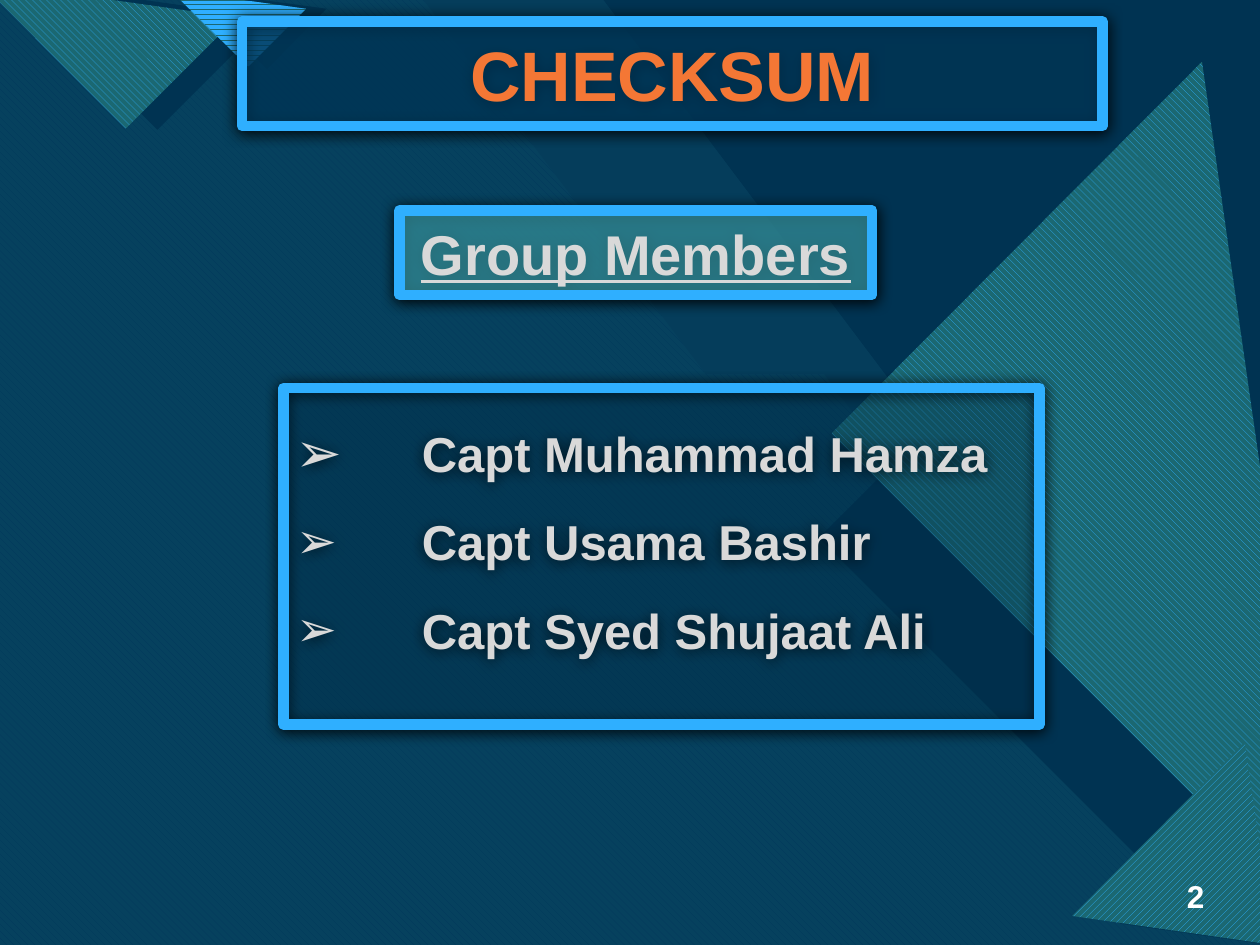
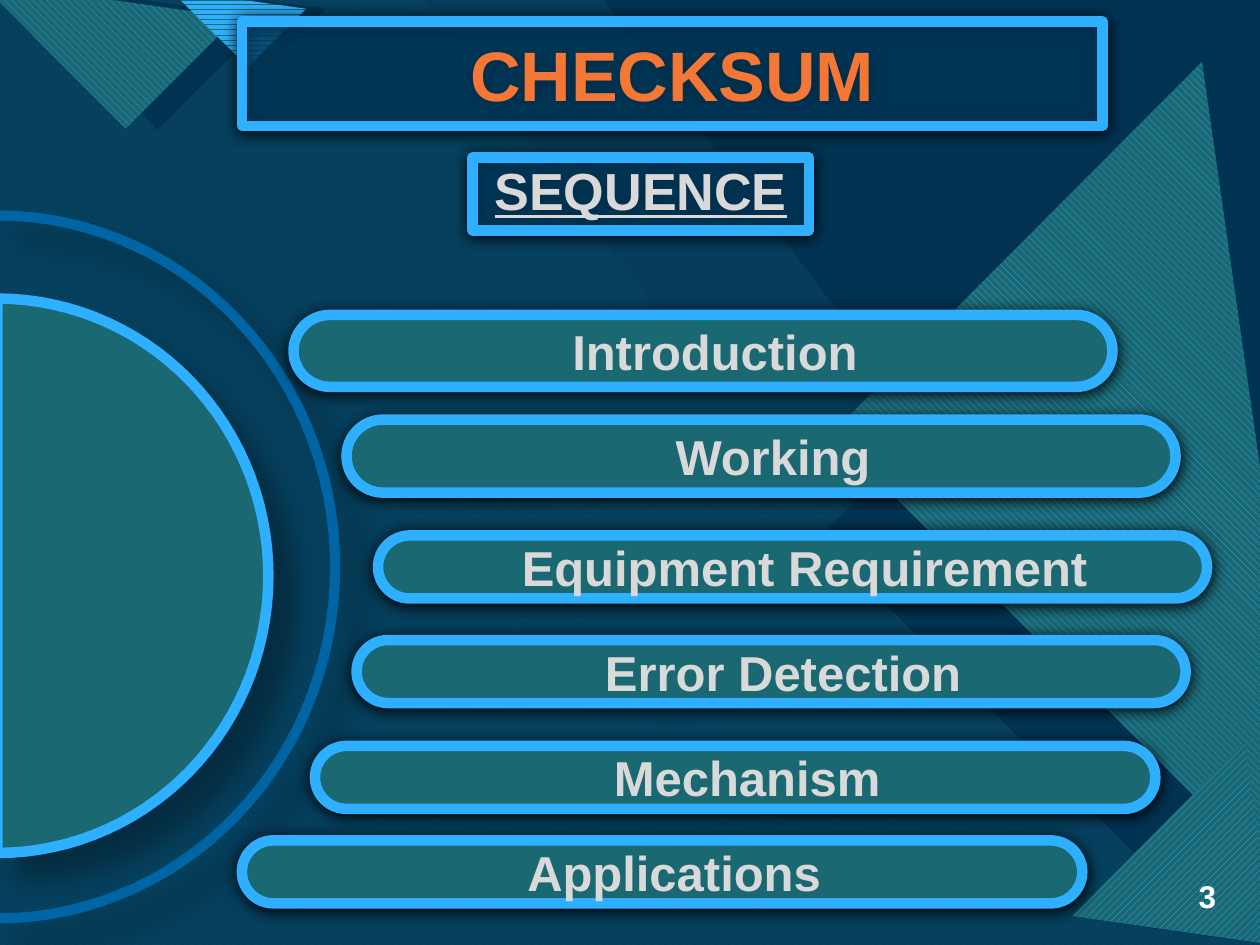
from math import cos, pi, sin

from lxml.etree import SubElement
from pptx import Presentation
from pptx.dml.color import RGBColor
from pptx.enum.dml import MSO_PATTERN_TYPE as PAT
from pptx.enum.shapes import MSO_SHAPE as SHAPE
from pptx.enum.text import MSO_ANCHOR as ANCHOR, PP_ALIGN as ALIGN
from pptx.oxml.ns import qn
from pptx.util import Inches, Pt

# ---- Content ----
TITLE = "CHECKSUM"
MEMBERS_HEAD = "Group Members"
MEMBERS = ["Capt Muhammad Hamza", "Capt Usama Bashir", "Capt Syed Shujaat Ali"]
SEQUENCE_HEAD = "SEQUENCE"
# topic, left, top, width, height
TOPICS = [
    ("Introduction", 2.33, 2.5, 6.5, 0.57),
    ("Working", 2.75, 3.33, 6.58, 0.58),
    ("Equipment Requirement", 3, 4.25, 6.58, 0.5),
    ("Error Detection", 2.83, 5.08, 6.58, 0.5),
    ("Mechanism", 2.5, 5.92, 6.67, 0.5),
    ("Applications", 1.92, 6.67, 6.67, 0.5),
]

# ---- Look ----
W, H = 10, 7.5
FONT = "Arial"
NAVY, DEEP, BLUE, SKY = "003352", "0C4360", "0065A4", "2FAFFF"
CYAN, TEAL, PILL, GLASS = "47C3D3", "1B6872", "1A6871", "004C7B"
ORANGE, PALE, WHITE = "F47735", "D9D9D9", "FFFFFF"
DOWN, UP = PAT.WIDE_DOWNWARD_DIAGONAL, PAT.WIDE_UPWARD_DIAGONAL
ROWS = PAT.DARK_HORIZONTAL

# Shadows: opacity %, blur pt, distance pt, angle
BOX_SHADOW = (100, 8.5, 1, 90)
ARC_SHADOW = (30, 15, 18, 45)

# Fills: (colour, opacity %) or (pattern, front, back)
SOLID_NAVY = (NAVY, 100)
STRIPES_DOWN, STRIPES_UP = (DOWN, SKY, TEAL), (UP, SKY, TEAL)

# Backdrop, from back to front: fill and corners; None marks the corner triangle
BACKDROP = [
    ((CYAN, 74), [(0, 0), (6.2, 0), (8.42, 2.97), (9.26, 2.97), (W, 3.96), (W, H), (0, H)]),
    ((DOWN, BLUE, CYAN), [(0, 0), (3.36, 0), (5.6, 2.97), (6.54, 2.97), (9.94, H), (0, H)]),
    (SOLID_NAVY, None),
    ((NAVY, 90), [(0, 0), (5.21, 0), (7.44, 2.97), (8.39, 2.97), (W, 5.13), (W, H), (0, H)]),
    (SOLID_NAVY, [(9.57, 1.19), (10.42, 7.16), (9.21, 6.98), (6.5, 4.27)]),
    (STRIPES_DOWN, [(9.54, 0.49), (10.48, 7.05), (10.17, 7.01), (6.6, 3.44)]),
    (SOLID_NAVY, [(9.91, 6.31), (10.08, 7.5), (8.89, 7.33)]),
    (STRIPES_UP, [(9.88, 5.89), (10.11, 7.5), (8.51, 7.27)]),
    (SOLID_NAVY, [(2.14, 0.14), (1.25, 1.03), (0.07, -0.15)]),
    (STRIPES_DOWN, [(-0.17, -0.15), (1, 1.02), (1.88, 0.14)]),
    (SOLID_NAVY, [(2.59, 0.07), (2.12, 0.55), (1.49, -0.08)]),
    ((ROWS, SKY, TEAL), [(1.35, -0.08), (1.97, 0.53), (2.43, 0.07)]),
]


def rgb(hex_text):
    return RGBColor.from_string(hex_text)


def paint(sp, fill, line=None, shadow=None):
    """Give a shape its fill, its 6 pt outline and its shadow."""
    f = sp.fill
    if len(fill) == 3:
        f.patterned()
        f.pattern = fill[0]
        f.fore_color.rgb, f.back_color.rgb = rgb(fill[1]), rgb(fill[2])
    else:
        f.solid()
        f.fore_color.rgb = rgb(fill[0])
        if fill[1] < 100:
            clr = sp._element.spPr.find(qn("a:solidFill"))[0]
            SubElement(clr, qn("a:alpha"), val=str(fill[1] * 1000))
    if line:
        sp.line.color.rgb = rgb(line)
        sp.line.width = Pt(6)
    else:
        sp.line.fill.background()
    sp.shadow.inherit = False
    if shadow:
        opacity, blur, dist, angle = shadow
        effects = sp._element.spPr.find(qn("a:effectLst"))
        sh = SubElement(effects, qn("a:outerShdw"), blurRad=str(Pt(blur)), dist=str(Pt(dist)),
                        dir=str(angle * 60000), algn="ctr", rotWithShape="0")
        clr = SubElement(sh, qn("a:srgbClr"), val="000000")
        SubElement(clr, qn("a:alpha"), val=str(opacity * 1000))


def write(sp, lines, size, color=PALE, align=ALIGN.CENTER, anchor=ANCHOR.MIDDLE,
          wrap=True, underline=None, **para):
    """Write one paragraph for each line, all in the same format."""
    tf = sp.text_frame
    tf.word_wrap, tf.vertical_anchor = wrap, anchor
    font = {"name": FONT, "size": Pt(size), "bold": True, "underline": underline}
    for i, line in enumerate(lines):
        p = tf.add_paragraph() if i else tf.paragraphs[0]
        for key, value in {"alignment": align, **para}.items():
            setattr(p, key, value)
        r = p.add_run()
        r.text = line
        for key, value in font.items():
            setattr(r.font, key, value)
        r.font.color.rgb = rgb(color)
    return tf.paragraphs


def place(sp, *box):
    for key, value in zip(("left", "top", "width", "height"), box):
        setattr(sp, key, Inches(value))


def box(s, kind, at, fill):
    sp = s.shapes.add_shape(kind, *map(Inches, at))
    paint(sp, fill, SKY, BOX_SHADOW)
    return sp


def polygon(s, points):
    pts = [(Inches(x), Inches(y)) for x, y in points]
    fb = s.shapes.build_freeform(*pts[0], scale=1.0)
    fb.add_line_segments(pts[1:], close=True)
    return fb.convert_to_shape()


def half_ellipse(cy, rx, ry, steps=60):
    """Points of the right half of an ellipse on the left edge, top to bottom."""
    angles = [pi * i / steps - pi / 2 for i in range(steps + 1)]
    return [(rx * cos(a) - 0.02, cy + ry * sin(a)) for a in angles]


def add_backdrop(s, layout):
    """Draw the shared backdrop and move it behind everything on the layout."""
    layout.background.fill.solid()
    layout.background.fill.fore_color.rgb = rgb(DEEP)
    for i, (fill, points) in enumerate(BACKDROP):
        if points:
            sp = polygon(s, points)
        else:
            sp = s.shapes.add_shape(SHAPE.RIGHT_TRIANGLE, *map(Inches, (4.79, 0, 5.21, 6.92)))
            sp.rotation = 180
        paint(sp, fill)
        layout.shapes._spTree.insert(2 + i, sp._element)


def add_slide(prs, layout, number, number_align):
    s = prs.slides.add_slide(layout)
    title = s.shapes.title
    place(title, 1.92, 0.17, 6.83, 0.83)
    paint(title, (GLASS, 55), SKY, BOX_SHADOW)
    write(title, [TITLE], 40, ORANGE)
    num = s.shapes.add_textbox(*map(Inches, (9.23, 6.91, 0.52, 0.4)))
    write(num, [number], 18, WHITE, number_align)
    return s


def add_bullets(paragraphs):
    """Arrow bullets with the text one inch in; the first one is larger."""
    for i, p in enumerate(paragraphs):
        pPr = p._p.get_or_add_pPr()
        pPr.set("marL", str(Inches(1)))
        pPr.set("indent", str(-Inches(1)))
        SubElement(pPr, qn("a:buSzPct"), val="100000" if i else "114000")
        SubElement(pPr, qn("a:buFont"), typeface=FONT)
        SubElement(pPr, qn("a:buChar"), char="➢")


def build_members(s):
    sp = box(s, SHAPE.RECTANGLE, (2.25, 3.08, 6, 2.67), (GLASS, 20))
    add_bullets(write(sp, MEMBERS, 28, align=ALIGN.LEFT, anchor=ANCHOR.TOP, line_spacing=1.5))
    sp = box(s, SHAPE.RECTANGLE, (3.17, 1.67, 3.75, 0.67), (CYAN, 55))
    write(sp, [MEMBERS_HEAD], 32, underline=True)


def build_sequence(s):
    # Ring and half disc on the left edge
    ring = half_ellipse(4.5, 2.72, 2.83) + half_ellipse(4.5, 2.64, 2.75)[::-1]
    paint(polygon(s, ring), (BLUE, 100), shadow=ARC_SHADOW)
    paint(polygon(s, half_ellipse(4.57, 2.15, 2.2)), (PILL, 100), SKY, ARC_SHADOW)
    # Heading
    sp = box(s, SHAPE.RECTANGLE, (3.75, 1.25, 2.67, 0.58), (GLASS, 55))
    write(sp, [SEQUENCE_HEAD], 29.8, underline=True, line_spacing=0.9)
    # Topics around the ring
    for topic, *at in TOPICS:
        sp = box(s, SHAPE.ROUNDED_RECTANGLE, at, (PILL, 100))
        sp.adjustments[0] = 0.5
        p = write(sp, [topic], 28, wrap=False)[0]
        p._p.get_or_add_pPr().set("marL", str(Inches(0.19)))


def main():
    prs = Presentation()
    prs.slide_width, prs.slide_height = Inches(W), Inches(H)
    layout = prs.slide_layouts[5]
    members = add_slide(prs, layout, "2", ALIGN.CENTER)
    add_backdrop(members, layout)
    build_members(members)
    build_sequence(add_slide(prs, layout, "3", ALIGN.RIGHT))
    prs.save("out.pptx")


if __name__ == "__main__":
    main()
